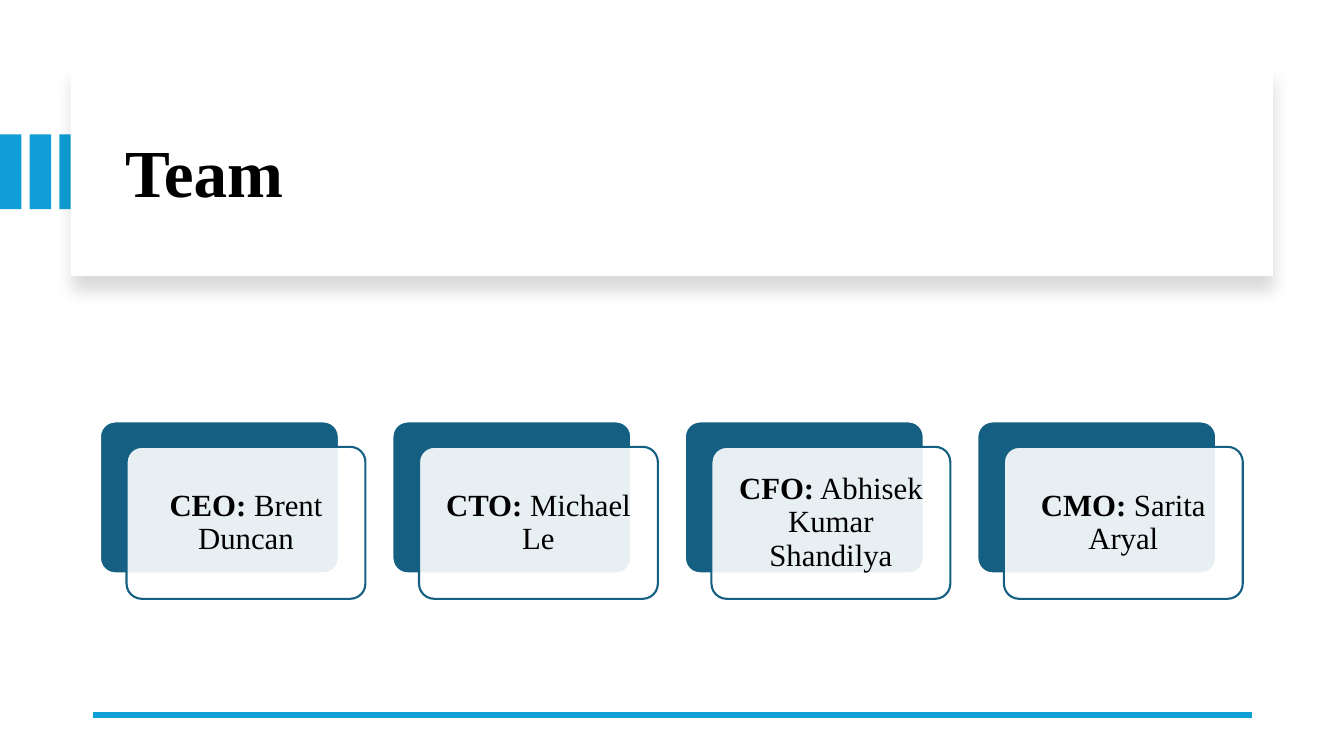
from lxml import etree
from pptx import Presentation
from pptx import util as u
from pptx.dml.color import RGBColor
from pptx.enum import shapes, text
from pptx.oxml import ns

Cm, Pt = u.Cm, u.Pt
HUES = {"sky": "0F9ED5", "teal": "156082", "white": "FFFFFF", "black": "000000"}
FACE = "Times New Roman"
TEAM = [
    ("CEO:", "Brent Duncan"),
    ("CTO:", "Michael Le"),
    ("CFO:", "Abhisek Kumar Shandilya"),
    ("CMO:", "Sarita Aryal"),
]


def hue(name):
    """Return the named colour."""
    return RGBColor.from_string(HUES[name])


def add_sub(node, tag, **attrs):
    """Append a drawing element and return it."""
    return etree.SubElement(node, ns.qn(tag), attrs)


def add_box(slide, box, fill, line=None, kind="RECTANGLE"):
    """Add a filled shape, its box given in centimetres."""
    form = getattr(shapes.MSO_SHAPE, kind)
    shape = slide.shapes.add_shape(form, *map(Cm, box))
    shape.shadow.inherit = False
    shape.fill.solid()
    shape.fill.fore_color.rgb = hue(fill)
    if line:
        shape.line.color.rgb = hue(line)
        shape.line.width = Pt(1.5)
    else:
        shape.line.fill.background()
    return shape


def set_font(para, size):
    """Set the face, size and colour of a paragraph."""
    para.line_spacing = 0.9
    para.font.name = FACE
    para.font.size = Pt(size)
    para.font.color.rgb = hue("black")


def add_bars(slide, left, top, width, height):
    """Draw three bars evenly across the box."""
    bar = 0.54
    step = (width - bar) / 2
    for i in range(3):
        add_box(slide, (left + i * step, top, bar, height), "sky")


def add_head(slide, left, top, width, height):
    """Draw the shadowed panel and set the title on it."""
    panel = add_box(slide, (left, top, width, height), "white")
    glow = add_sub(panel.element.spPr.find(ns.qn("a:effectLst")), "a:outerShdw",
                   blurRad=str(Pt(11)), dist=str(Pt(10)), dir="5400000",
                   algn="t", rotWithShape="0")
    shade = add_sub(glow, "a:srgbClr", val=HUES["black"])
    add_sub(shade, "a:alpha", val="15000")

    title = slide.shapes.title
    title.left, title.top = Cm(left + 1.12), Cm(top + 0.56)
    title.width, title.height = Cm(width - 2.03), Cm(4.32)
    panel.element.addnext(title.element)
    frame = title.text_frame
    frame.text = "Team"
    frame.vertical_anchor = text.MSO_ANCHOR.MIDDLE
    para = frame.paragraphs[0]
    para.alignment = text.PP_ALIGN.LEFT
    set_font(para, 48)
    para.font.bold = True


def add_card(slide, left, top, width, height, role, name):
    """Draw a dark card with a sheer one over it that holds the text."""
    wide, high = width - 0.67, height - 0.64
    back = add_box(slide, (left, top, wide, high), "teal", "white", "ROUNDED_RECTANGLE")
    front = add_box(slide, (left + 0.67, top + 0.64, wide, high),
                    "white", "teal", "ROUNDED_RECTANGLE")
    for card in (back, front):
        card.adjustments[0] = 0.1
    tint = front.element.spPr.find(ns.qn("a:solidFill"))[0]
    add_sub(tint, "a:alpha", val="90000")

    frame = front.text_frame
    frame.word_wrap = True
    frame.vertical_anchor = text.MSO_ANCHOR.MIDDLE
    frame.margin_left = frame.margin_right = Cm(0.24)
    frame.margin_top = frame.margin_bottom = Cm(0.24)
    para = frame.paragraphs[0]
    para.alignment = text.PP_ALIGN.CENTER
    para.space_after = Pt(7.7)
    set_font(para, 22)
    lead = para.add_run()
    lead.text = role
    lead.font.bold = True
    para.add_run().text = " " + name


def add_team(slide, left, top, width, height):
    """Place one card per member evenly across the box."""
    wide = 6.69
    step = (width - wide) / (len(TEAM) - 1)
    for i, (role, name) in enumerate(TEAM):
        add_card(slide, left + i * step, top, wide, height, role, name)


def add_rule(slide, left, top, width):
    """Draw the line at the foot of the slide."""
    rule = slide.shapes.add_connector(
        shapes.MSO_CONNECTOR.STRAIGHT, Cm(left + width), Cm(top), Cm(left), Cm(top))
    rule.line.color.rgb = hue("sky")
    rule.line.width = Pt(4.5)
    add_sub(rule.element.spPr, "a:effectLst")


def main():
    """Build the team slide."""
    deck = Presentation()
    deck.slide_width, deck.slide_height = Cm(33.87), Cm(19.05)
    slide = deck.slides.add_slide(deck.slide_layouts.get_by_name("Title Only"))
    add_bars(slide, 0, 3.39, 2.04, 1.88)
    add_head(slide, 1.78, 1.7, 30.3, 5.26)
    add_rule(slide, 2.34, 18.01, 29.2)
    add_team(slide, 2.52, 10.62, 28.8, 4.47)
    deck.save("out.pptx")


if __name__ == "__main__":
    main()
